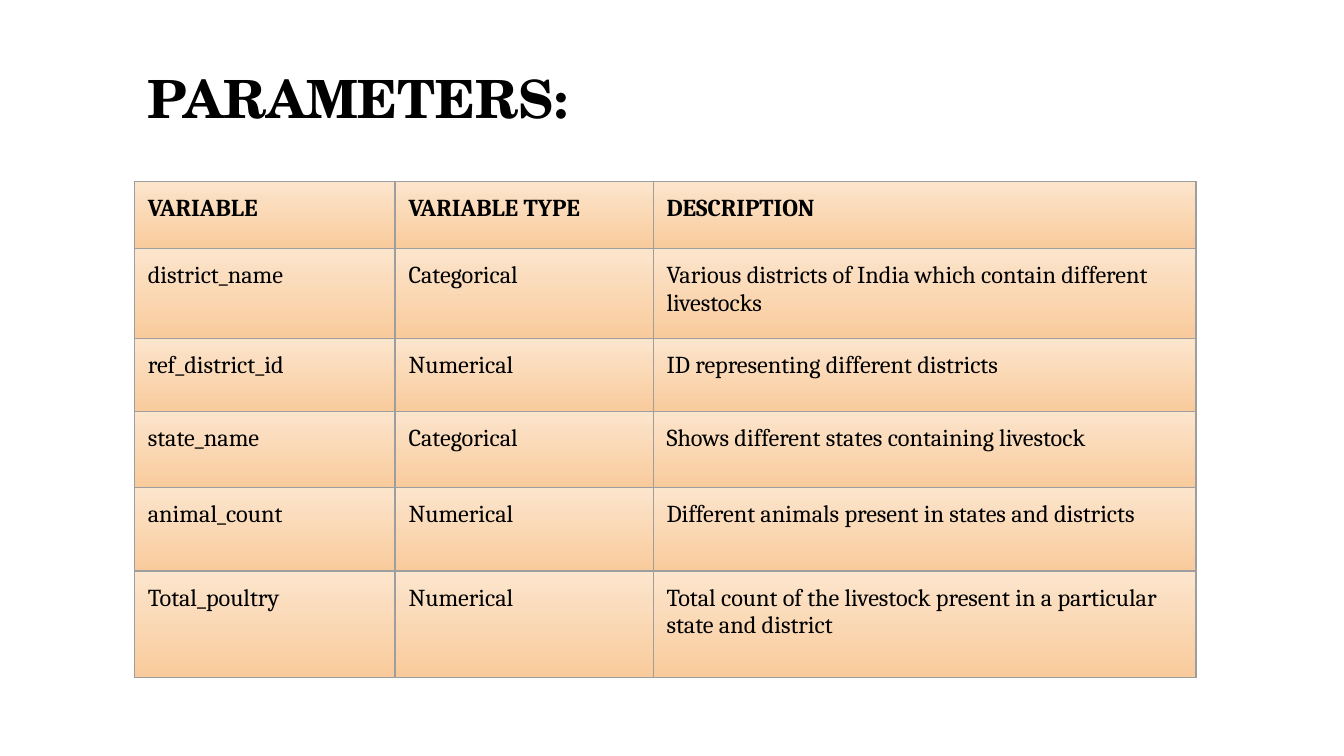
from pptx import Presentation
from pptx.dml.color import RGBColor
from pptx.oxml import parse_xml
from pptx.oxml.ns import nsdecls
from pptx.util import Inches, Pt

# Content
TITLE = "PARAMETERS:"
ROWS = [
    ("VARIABLE", "VARIABLE TYPE", "DESCRIPTION"),
    ("district_name", "Categorical",
     "Various districts of India which contain different livestocks"),
    ("ref_district_id", "Numerical", "ID representing different districts"),
    ("state_name", "Categorical", "Shows different states containing livestock"),
    ("animal_count", "Numerical", "Different animals present in states and districts"),
    ("Total_poultry", "Numerical",
     "Total count of the livestock present in a particular state and district"),
]

# Layout in inches
SLIDE_WIDTH = 10
SLIDE_HEIGHT = SLIDE_WIDTH * 9 / 16
LEFT = 1
TABLE_TOP = 1.35
COLUMN_WIDTHS = [1.94, 1.92, 4.04]
ROW_HEIGHTS = [0.5, 0.67, 0.54, 0.57, 0.62, 0.79]
INSET = Inches(0.1)

# Style
BLACK = RGBColor(0x00, 0x00, 0x00)
GRAY = RGBColor(0x9E, 0x9E, 0x9E)
PALE_ORANGE = RGBColor(0xFC, 0xE5, 0xCD)
ORANGE = RGBColor(0xF9, 0xCB, 0x9C)
DOWNWARD = 270
BORDER_WIDTH = Pt(0.75)


def set_text(target, text, font_name, size, bold):
    """Fill a cell or text frame with one formatted paragraph."""
    target.margin_left = target.margin_right = INSET
    target.margin_top = target.margin_bottom = INSET
    frame = target if hasattr(target, "paragraphs") else target.text_frame
    frame.text = text
    font = frame.paragraphs[0].runs[0].font
    font.name, font.size, font.bold = font_name, Pt(size), bold
    font.color.rgb = BLACK


def set_gradient(cell):
    cell.fill.gradient()
    cell.fill.gradient_angle = DOWNWARD
    for stop, color in zip(cell.fill.gradient_stops, (PALE_ORANGE, ORANGE)):
        stop.color.rgb = color


def set_borders(cell):
    """Insert the four edges before the fill, as the schema requires."""
    properties = cell._tc.get_or_add_tcPr()
    for index, edge in enumerate(("lnL", "lnR", "lnT", "lnB")):
        properties.insert(index, parse_xml(
            f'<a:{edge} {nsdecls("a")} w="{BORDER_WIDTH}"><a:solidFill>'
            f'<a:srgbClr val="{GRAY}"/></a:solidFill></a:{edge}>'))


deck = Presentation()
deck.slide_width, deck.slide_height = Inches(SLIDE_WIDTH), Inches(SLIDE_HEIGHT)
page = deck.slides.add_slide(deck.slide_layouts[6])

# Variable table
table = page.shapes.add_table(
    len(ROWS), len(COLUMN_WIDTHS), Inches(LEFT), Inches(TABLE_TOP),
    Inches(sum(COLUMN_WIDTHS)), Inches(sum(ROW_HEIGHTS))).table
for column, width in zip(table.columns, COLUMN_WIDTHS):
    column.width = Inches(width)
for row_index, (texts, height) in enumerate(zip(ROWS, ROW_HEIGHTS)):
    table.rows[row_index].height = Inches(height)
    for column_index, text in enumerate(texts):
        cell = table.cell(row_index, column_index)
        set_text(cell, text, "Cambria", 13, row_index == 0)
        set_gradient(cell)
        set_borders(cell)

# Title
title = page.shapes.add_textbox(Inches(LEFT), Inches(0.39), Inches(3.44), Inches(0.59))
title.text_frame.word_wrap = True
set_text(title.text_frame, TITLE, "TeX Gyre Schola", 28.2, True)

deck.save("out.pptx")
